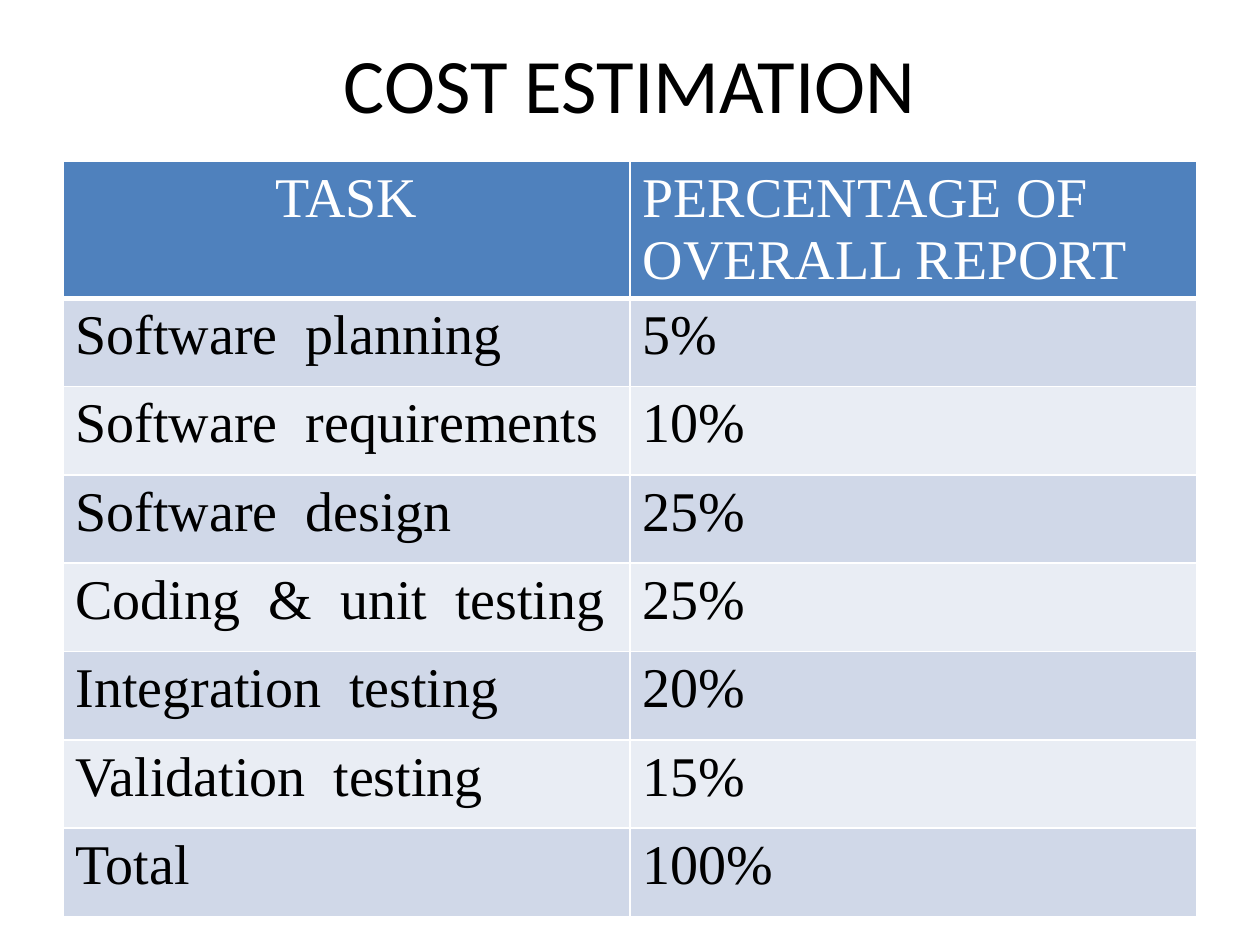
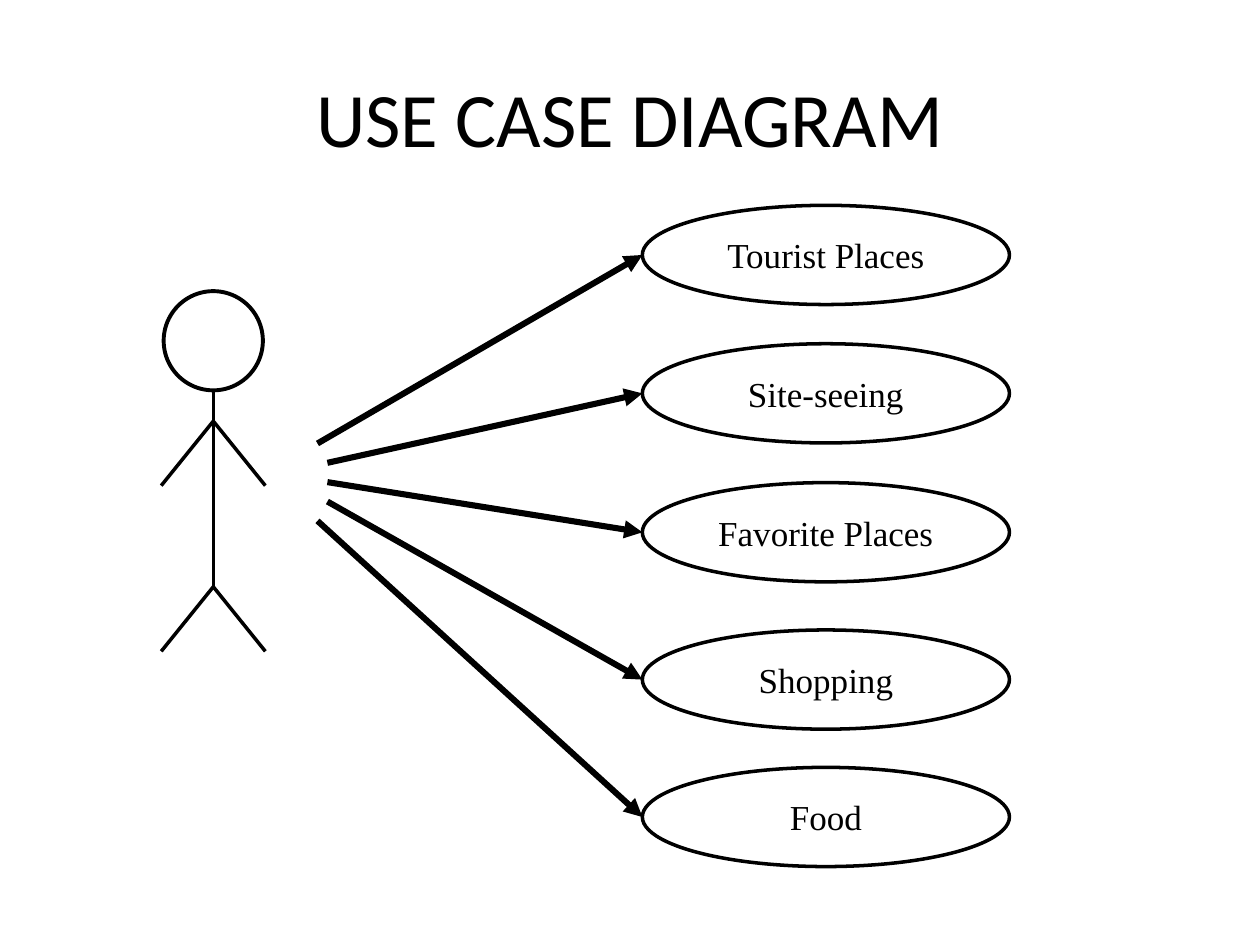
import pptx
import pptx.dml.color
import pptx.enum.shapes
import pptx.enum.text
import pptx.oxml.ns
import pptx.util
from lxml import etree

Cm, Pt = pptx.util.Cm, pptx.util.Pt
SHAPE = pptx.enum.shapes.MSO_SHAPE
STRAIGHT = pptx.enum.shapes.MSO_CONNECTOR.STRAIGHT
ALIGN = pptx.enum.text.PP_ALIGN
MIDDLE = pptx.enum.text.MSO_ANCHOR.MIDDLE
qn = pptx.oxml.ns.qn

COLORS = {
    "ink": "000000",
    "white": "FFFFFF",
    "header": "4F81BD",
    "band_dark": "D0D8E8",
    "band_light": "E9EDF4",
}
HEAD_FONT, BODY_FONT = "Calibri", "Times New Roman"
MARGIN, CONTENT_W, TITLE_H = 1.27, 22.86, 3.18
TITLE_ONLY = 5

TASKS = [
    ("TASK", "PERCENTAGE OF OVERALL REPORT"),
    ("Software  planning", "5%"),
    ("Software  requirements", "10%"),
    ("Software  design", "25%"),
    ("Coding  &  unit  testing", "25%"),
    ("Integration  testing", "20%"),
    ("Validation  testing", "15%"),
    ("Total", "100%"),
]
# Use case: name, top of its oval within the diagram, left end of its arrow
USE_CASES = [
    ("Tourist Places", 0, 6.4),
    ("Site-seeing", 2.79, 6.6),
    ("Favorite Places", 5.59, 6.6),
    ("Shopping", 8.56, 6.6),
    ("Food", 11.33, 6.4),
]


def rgb(name):
    """Return the named colour."""
    return pptx.dml.color.RGBColor.from_string(COLORS[name])


def write(tf, text, size=20, font=BODY_FONT, color="ink", align=ALIGN.LEFT):
    """Put one formatted paragraph into a text frame."""
    p = tf.paragraphs[0]
    p.alignment = align
    r = p.add_run()
    r.text = text
    r.font.size, r.font.name, r.font.bold = Pt(size), font, False
    r.font.color.rgb = rgb(color)


def add_slide(prs, title, top):
    """Add a slide with its centred title at the given height."""
    s = prs.slides.add_slide(prs.slide_layouts[TITLE_ONLY])
    sp = s.shapes.title
    sp.left, sp.top = Cm(MARGIN), Cm(top)
    sp.width, sp.height = Cm(CONTENT_W), Cm(TITLE_H)
    sp.text_frame.vertical_anchor = MIDDLE
    write(sp.text_frame, title, size=44, font=HEAD_FONT, align=ALIGN.CENTER)
    return s


def add_borders(cell, bottom=1):
    """Give a cell white borders, the bottom one of its own width."""
    tc_pr = cell._tc.get_or_add_tcPr()
    for side, width in (("L", 1), ("R", 1), ("T", 1), ("B", bottom)):
        ln = etree.SubElement(tc_pr, qn("a:ln" + side), w=str(Pt(width)))
        fill = etree.SubElement(ln, qn("a:solidFill"))
        etree.SubElement(fill, qn("a:srgbClr"), val=COLORS["white"])


def add_cost_table(s, left, top, width, header_h=2.16, row_h=1.78):
    """Draw the banded table of tasks and their shares."""
    height = header_h + row_h * (len(TASKS) - 1)
    table = s.shapes.add_table(len(TASKS), 2, Cm(left), Cm(top),
                               Cm(width), Cm(height)).table
    table.horz_banding = False
    for col in table.columns:
        col.width = Cm(width / 2)
    for i, row in enumerate(TASKS):
        header = i == 0
        band = "header" if header else "band_dark" if i % 2 else "band_light"
        table.rows[i].height = Cm(header_h if header else row_h)
        for j, text in enumerate(row):
            cell = table.cell(i, j)
            add_borders(cell, bottom=3 if header else 1)
            cell.fill.solid()
            cell.fill.fore_color.rgb = rgb(band)
            write(cell.text_frame, text, size=32,
                  color="white" if header else "ink",
                  align=ALIGN.CENTER if header and j == 0 else ALIGN.LEFT)


def add_oval(s, left, top, width, height, text="", line=2):
    """Draw an outlined oval, with centred text if there is any."""
    sp = s.shapes.add_shape(SHAPE.OVAL, Cm(left), Cm(top), Cm(width), Cm(height))
    sp.shadow.inherit = False
    sp.fill.background()
    sp.line.color.rgb, sp.line.width = rgb("ink"), Pt(line)
    if text:
        sp.text_frame.vertical_anchor = MIDDLE
        write(sp.text_frame, text, align=ALIGN.CENTER)
    return sp


def add_line(s, x1, y1, x2, y2, width=2, arrow=False):
    """Draw a straight line, with an arrowhead at its end if asked."""
    cx = s.shapes.add_connector(STRAIGHT, Cm(x1), Cm(y1), Cm(x2), Cm(y2))
    cx.line.color.rgb, cx.line.width = rgb("ink"), Pt(width)
    if arrow:
        etree.SubElement(cx.line._get_or_add_ln(), qn("a:tailEnd"), type="triangle")
    etree.SubElement(cx._element.spPr, qn("a:effectLst"))


def add_actor(s, left, top, width, height):
    """Draw the stick figure that fills the box."""
    head, limb_drop = 2, 1.3
    mid = left + width / 2
    neck, shoulder, hip = top + head, top + 2.62, top + height - limb_drop
    add_oval(s, mid - head / 2, top, head, head, line=2.25)
    add_line(s, mid, neck, mid, hip)
    for joint in (shoulder, hip):
        for hand_x in (left, left + width):
            add_line(s, mid, joint, hand_x, joint + limb_drop)


def add_use_cases(s, left, top, width, oval_h=2, fan_top=4.8, fan_step=0.39):
    """Stack the use cases, each with an arrow fanning out from the actor."""
    for i, (text, offset, arrow_x) in enumerate(USE_CASES):
        y = top + offset
        add_oval(s, left, y, width, oval_h, text)
        add_line(s, arrow_x, top + fan_top + i * fan_step,
                 left, y + oval_h / 2, width=3.5, arrow=True)


prs = pptx.Presentation()
prs.slide_width, prs.slide_height = Cm(25.4), Cm(19.05)

s = add_slide(prs, "COST ESTIMATION", top=0.08)
add_cost_table(s, MARGIN, 3.25, CONTENT_W)

s = add_slide(prs, "USE CASE DIAGRAM", top=0.76)
add_actor(s, left=3.25, top=5.87, width=2.1, height=7.26)
add_use_cases(s, left=12.95, top=4.14, width=7.4)

prs.save("out.pptx")
